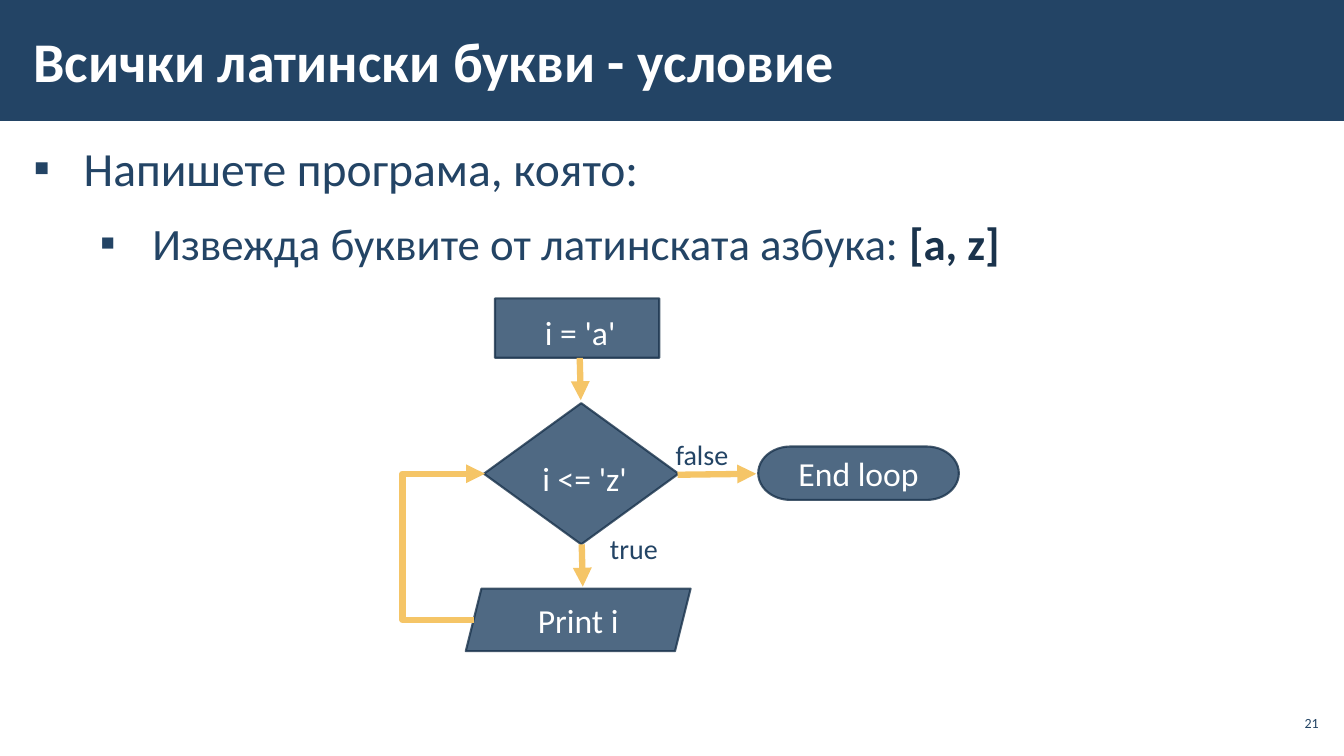
"""Build a slide with a loop flowchart that lists the Latin letters."""
from dataclasses import dataclass
from typing import Any, Optional

import lxml.etree
import pptx
import pptx.dml.color
import pptx.enum.dml
import pptx.enum.shapes
import pptx.enum.text
import pptx.oxml.ns
import pptx.util

NAVY, DARK, GOLD, WHITE = "234465", "1A334C", "F5C567", "FFFFFF"
FORM = pptx.enum.shapes.MSO_SHAPE
LINK = pptx.enum.shapes.MSO_CONNECTOR
ALIGN = pptx.enum.text.PP_ALIGN
ANCHOR = pptx.enum.text.MSO_ANCHOR
SIZING = pptx.enum.text.MSO_AUTO_SIZE
Inches = pptx.util.Inches
Box = tuple[float, float, float, float]


@dataclass
class Node:
    form: Any
    box: Box
    text: str = ""


@dataclass
class Label:
    box: Box
    runs: list[str]
    size: int
    color: str
    wrap: bool = True


@dataclass
class Arrow:
    start: tuple[float, float]
    end: tuple[float, float]
    bend: Optional[float] = None


@dataclass
class Item:
    level: int
    left: float
    hang: float
    size: int
    runs: list[tuple[str, str, bool]]


NODES = [
    Node(FORM.RECTANGLE, (4.91, 2.96, 1.63, 0.59)),
    Node(FORM.DIAMOND, (4.8, 4, 1.93, 1.4)),
    Node(FORM.PARALLELOGRAM, (4.62, 5.84, 2.23, 0.62), "Print i"),
    Node(FORM.FLOWCHART_TERMINATOR, (7.52, 4.43, 1.99, 0.53), "End loop"),
]
ARROWS = [
    Arrow((5.75, 3.55), (5.76, 3.97)),
    Arrow((5.77, 5.4), (5.78, 5.82)),
    Arrow((6.72, 4.71), (7.5, 4.7)),
    Arrow((4.7, 6.15), (4.81, 4.7), bend=3.99),
]
LABELS = [
    Label((5.17, 2.93, 1.76, 0.52), [" i = 'a'"], 24, WHITE),
    Label((5.22, 4.38, 1.65, 0.66), ["i <= ", "'z'"], 24, WHITE),
    Label((6.54, 4.19, 0.85, 0.59), ["false"], 20, NAVY, wrap=False),
    Label((5.89, 5.12, 0.95, 0.59), ["true"], 20, NAVY),
]
ITEMS = [
    Item(0, 0.5, 0.5, 34, [("Напишете програма, която:", NAVY, False)]),
    Item(1, 1.08, 0.42, 32, [
        (" Извежда буквите от латинската азбука: ", NAVY, False),
        ("[a, z]", DARK, True),
    ]),
]


def add_tag(parent: Any, tag: str, **attrs: str) -> Any:
    """Append a drawing element to the parent."""
    return lxml.etree.SubElement(parent, pptx.oxml.ns.qn(tag), attrs)


def paint(fill: Any, color: str, alpha: int = 100) -> None:
    """Set a solid colour, with opacity in percent."""
    fill.solid()
    fill.fore_color.rgb = pptx.dml.color.RGBColor.from_string(color)
    if alpha < 100:
        solid = fill._xPr.find(pptx.oxml.ns.qn("a:solidFill"))
        add_tag(solid[0], "a:alpha", val=str(alpha * 1000))


def add_run(para: Any, text: str, size: int, color: str, bold: bool = False) -> None:
    """Add one styled run to a paragraph."""
    run = para.add_run()
    run.text = text
    run.font.name = "Calibri"
    run.font.size = pptx.util.Pt(size)
    run.font.bold = bold
    paint(run.font.fill, color)


def place(shape: Any, box: Box) -> None:
    """Move and size a shape."""
    shape.left, shape.top, shape.width, shape.height = map(Inches, box)


def set_frame(frame: Any, side: float, edge: float, anchor: Any = ANCHOR.TOP) -> None:
    """Set the wrap, insets and anchor of a text frame."""
    frame.word_wrap = True
    frame.auto_size = SIZING.NONE
    frame.margin_left = frame.margin_right = Inches(side)
    frame.margin_top = frame.margin_bottom = Inches(edge)
    frame.vertical_anchor = anchor


def add_node(slide: Any, node: Node) -> None:
    """Draw one flowchart block."""
    shape = slide.shapes.add_shape(node.form, *map(Inches, node.box))
    shape.shadow.inherit = False
    paint(shape.fill, NAVY, 80)
    shape.line.width = pptx.util.Pt(1.5)
    paint(shape.line.fill, DARK, 80)
    if node.text:
        set_frame(shape.text_frame, 0.1, 0.05, ANCHOR.MIDDLE)
        para = shape.text_frame.paragraphs[0]
        para.alignment = ALIGN.CENTER
        add_run(para, node.text, 24, WHITE)


def add_label(slide: Any, label: Label) -> None:
    """Draw one text label of the flowchart."""
    frame = slide.shapes.add_textbox(*map(Inches, label.box)).text_frame
    set_frame(frame, 0.16, 0.12)
    frame.word_wrap = label.wrap
    frame.auto_size = SIZING.SHAPE_TO_FIT_TEXT
    para = frame.paragraphs[0]
    para.line_spacing = 1.1
    for text in label.runs:
        add_run(para, text, label.size, label.color)


def add_arrow(slide: Any, arrow: Arrow) -> None:
    """Draw a straight arrow, or an elbow when a bend is given."""
    kind = LINK.STRAIGHT if arrow.bend is None else LINK.ELBOW
    link = slide.shapes.add_connector(kind, *map(Inches, arrow.start + arrow.end))
    link.line.width = pptx.util.Pt(4.5)
    paint(link.line.fill, GOLD)
    add_tag(link.get_or_add_ln(), "a:tailEnd", type="triangle")
    add_tag(link._element.spPr, "a:effectLst")
    if arrow.bend is not None:
        ratio = (arrow.bend - arrow.start[0]) / (arrow.end[0] - arrow.start[0])
        guides = next(link._element.iter(pptx.oxml.ns.qn("a:avLst")))
        add_tag(guides, "a:gd", name="adj1", fmla=f"val {round(ratio * 100000)}")


def add_item(para: Any, item: Item) -> None:
    """Fill one bulleted paragraph."""
    para.level = item.level
    para.line_spacing = 1.05
    para.space_before = para.space_after = pptx.util.Pt(6)
    props = para._p.get_or_add_pPr()
    props.set("marL", str(Inches(item.left)))
    props.set("indent", str(-Inches(item.hang)))
    add_tag(props, "a:buChar", char="▪")
    for text, color, bold in item.runs:
        add_run(para, text, item.size, color, bold)


def add_head(slide: Any) -> None:
    """Draw the title on its band."""
    band = slide.shapes.add_shape(FORM.RECTANGLE, 0, 0, Inches(13.33), Inches(1.2))
    band.shadow.inherit = False
    paint(band.fill, NAVY)
    band.line.fill.background()
    slide.shapes._spTree.insert(2, band._element)
    title = slide.shapes.title
    place(title, (0.21, 0.11, 10.39, 0.97))
    set_frame(title.text_frame, 0.12, 0.04, ANCHOR.MIDDLE)
    para = title.text_frame.paragraphs[0]
    para.alignment = ALIGN.LEFT
    add_run(para, "Всички латински букви - условие", 40, WHITE, True)


def add_list(slide: Any) -> None:
    """Fill the body with the task."""
    body = slide.placeholders[1]
    place(body, (0.21, 1.31, 12.92, 5.69))
    frame = body.text_frame
    set_frame(frame, 0.12, 0.04)
    for spot, item in enumerate(ITEMS):
        add_item(frame.add_paragraph() if spot else frame.paragraphs[0], item)


def add_page(slide: Any) -> None:
    """Draw the page number."""
    frame = slide.shapes.add_textbox(*map(Inches, (12.65, 7, 0.47, 0.34))).text_frame
    set_frame(frame, 0.04, 0.04, ANCHOR.MIDDLE)
    frame.paragraphs[0].alignment = ALIGN.RIGHT
    add_run(frame.paragraphs[0], "21", 10, NAVY)


def main() -> None:
    """Build and save the slide."""
    deck = pptx.Presentation()
    deck.slide_width, deck.slide_height = Inches(13.33), Inches(7.5)
    slide = deck.slides.add_slide(deck.slide_layouts[1])
    add_head(slide)
    add_list(slide)
    add_page(slide)
    for draw, parts in ((add_node, NODES), (add_arrow, ARROWS), (add_label, LABELS)):
        for part in parts:
            draw(slide, part)
    deck.save("out.pptx")


if __name__ == "__main__":
    main()
